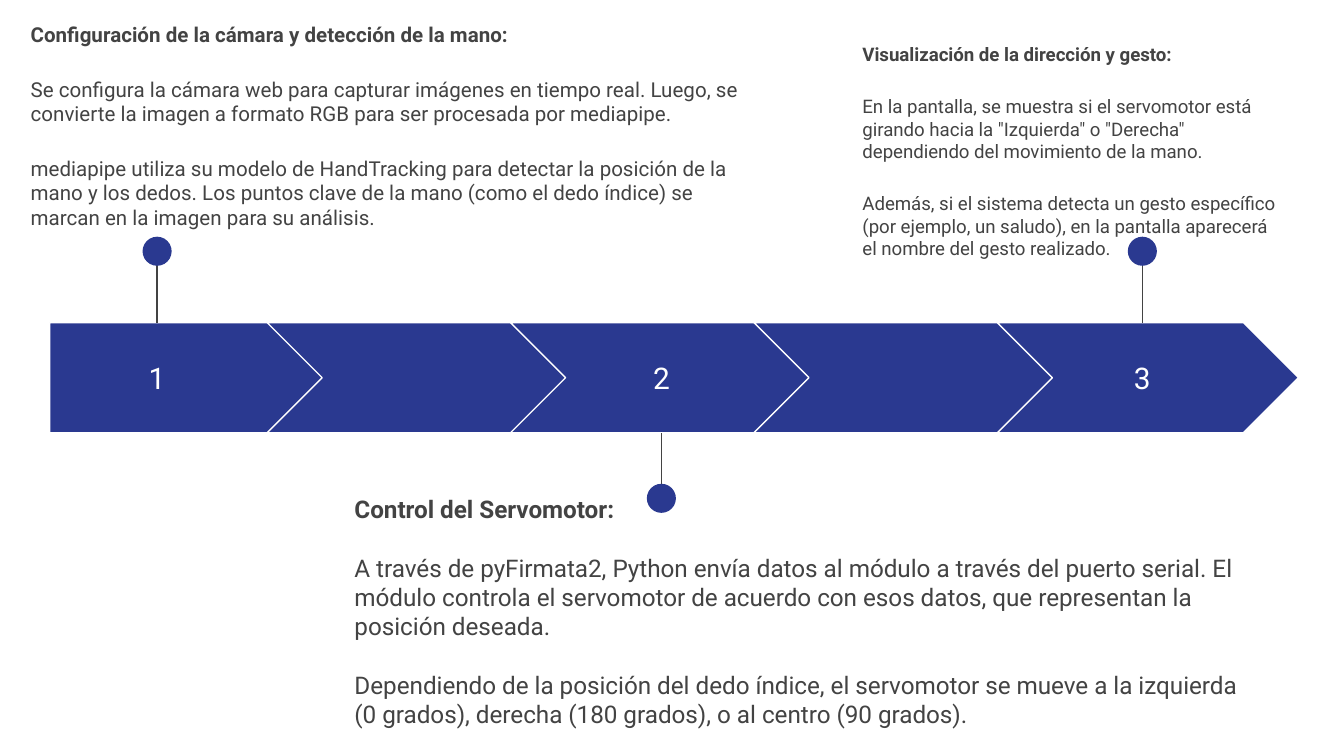
from dataclasses import dataclass

from lxml.etree import SubElement
from pptx import Presentation
from pptx.dml.color import RGBColor
from pptx.enum.shapes import MSO_CONNECTOR as Line, MSO_SHAPE as Shape
from pptx.enum.text import MSO_ANCHOR as Anchor, PP_ALIGN as Align
from pptx.oxml.ns import qn
from pptx.util import Cm, Pt


@dataclass(frozen=True)
class Theme:
    """Colours, font and type sizes of the slide."""
    band: RGBColor = RGBColor(0x2A, 0x39, 0x90)
    ink: RGBColor = RGBColor(0x43, 0x43, 0x43)
    paper: RGBColor = RGBColor(0xFF, 0xFF, 0xFF)
    font: str = "Roboto"
    number: int = 16
    stroke: float = 0.75
    gap: int = 16


THEME = Theme()
BAND = (0.94, 6.1, 23.61, 2.08)
STEP_COUNT = 5

STEPS = [
    dict(number="1", pin_x=2.97, dot_y=4.75, box=(0.33, 0.1, 13.92, 3.58),
         size=11, heading_spacing=1.15, paragraphs=[
        "Configuración de la cámara y detección de la mano:",
        "Se configura la cámara web para capturar imágenes en tiempo real. Luego, se "
        "convierte la imagen a formato RGB para ser procesada por mediapipe.",
        "mediapipe utiliza su modelo de HandTracking para detectar la posición de la "
        "mano y los dedos. Los puntos clave de la mano (como el dedo índice) se "
        "marcan en la imagen para su análisis."]),
    dict(number="2", pin_x=12.5, dot_y=9.42, box=(6.45, 9.09, 17.32, 2.51),
         size=13, heading_spacing=1.0, paragraphs=[
        "Control del Servomotor:",
        "A través de pyFirmata2, Python envía datos al módulo a través del puerto "
        "serial. El módulo controla el servomotor de acuerdo con esos datos, que "
        "representan la posición deseada.",
        "Dependiendo de la posición del dedo índice, el servomotor se mueve a la "
        "izquierda (0 grados), derecha (180 grados), o al centro (90 grados)."]),
    dict(number="3", pin_x=21.59, dot_y=4.75, box=(16.05, 0.56, 8.38, 4.27),
         size=10, heading_spacing=1.0, paragraphs=[
        "Visualización de la dirección y gesto:",
        "En la pantalla, se muestra si el servomotor está girando hacia la "
        "\"Izquierda\" o \"Derecha\" dependiendo del movimiento de la mano.",
        "Además, si el sistema detecta un gesto específico (por ejemplo, un saludo), "
        "en la pantalla aparecerá el nombre del gesto realizado."]),
]


def add_filled(slide, kind, box):
    """Add a shadowless preset shape in the band colour."""
    shape = slide.shapes.add_shape(kind, *map(Cm, box))
    shape.shadow.inherit = False
    shape.fill.solid()
    shape.fill.fore_color.rgb = THEME.band
    return shape


def add_text(slide, box, paragraphs, size, color):
    """Add a wrapped text box and return its frame."""
    frame = slide.shapes.add_textbox(*map(Cm, box)).text_frame
    frame.word_wrap = True
    frame.margin_left = frame.margin_right = Cm(0.25)
    frame.margin_top = frame.margin_bottom = Cm(0.25)
    frame.text = "\n".join(paragraphs)
    for paragraph in frame.paragraphs:
        for run in paragraph.runs:
            run.font.name = THEME.font
            run.font.size = Pt(size)
            run.font.color.rgb = color
    return frame


def add_band(slide, box, count):
    """Fill the box with a row of interlocking arrows."""
    left, top, width, height = box
    tip = height / 2
    pitch = (width - tip) / count
    first_cut = 0.48
    for index in range(count):
        start = left + index * pitch - (first_cut if index else 0)
        end = left + (index + 1) * pitch + tip - first_cut * (count - 1 - index) / count
        start, end = (left, 6.15) if index == 0 else (5.05 + 4.6 * (index - 1), 10.74 + 4.6 * (index - 1))
        kind = Shape.CHEVRON if index else Shape.PENTAGON
        arrow = add_filled(slide, kind, (start, top, end - start, height))
        arrow.adjustments[0] = 0.5
        arrow.line.color.rgb = THEME.paper
        arrow.line.width = Pt(THEME.stroke)


def add_pin(slide, x, dot_y, band):
    """Join a dot to the nearer edge of the band."""
    top, height = band[1], band[3]
    edge = top if dot_y < top else top + height
    stem = slide.shapes.add_connector(Line.STRAIGHT, Cm(x), Cm(dot_y), Cm(x), Cm(edge))
    stem.line.color.rgb = THEME.ink
    stem.line.width = Pt(THEME.stroke)
    SubElement(stem._element.spPr, qn("a:effectLst"))
    diameter = 0.55
    dot = add_filled(slide, Shape.OVAL,
                     (x - diameter / 2, dot_y - diameter / 2, diameter, diameter))
    dot.line.fill.background()


def add_number(slide, x, number, band):
    """Centre a step number on the band."""
    width = 3.66
    frame = add_text(slide, (x - width / 2, band[1], width, band[3]), [number],
                     THEME.number, THEME.paper)
    frame.vertical_anchor = Anchor.MIDDLE
    frame.paragraphs[0].alignment = Align.CENTER


def add_description(slide, box, paragraphs, size, heading_spacing):
    """Place a bold heading with its explanatory paragraphs."""
    frame = add_text(slide, box, paragraphs, size, THEME.ink)
    heading, *details = frame.paragraphs
    heading.line_spacing = heading_spacing
    heading.runs[0].font.bold = True
    for detail in details:
        detail.space_before = Pt(THEME.gap)


def main():
    """Build and save the slide."""
    deck = Presentation()
    deck.slide_width, deck.slide_height = Cm(25.4), Cm(14.29)
    slide = deck.slides.add_slide(deck.slide_layouts[6])
    add_band(slide, BAND, STEP_COUNT)
    for step in STEPS:
        add_number(slide, step["pin_x"], step["number"], BAND)
        add_pin(slide, step["pin_x"], step["dot_y"], BAND)
        add_description(slide, step["box"], step["paragraphs"], step["size"],
                        step["heading_spacing"])
    deck.save("out.pptx")


if __name__ == "__main__":
    main()
